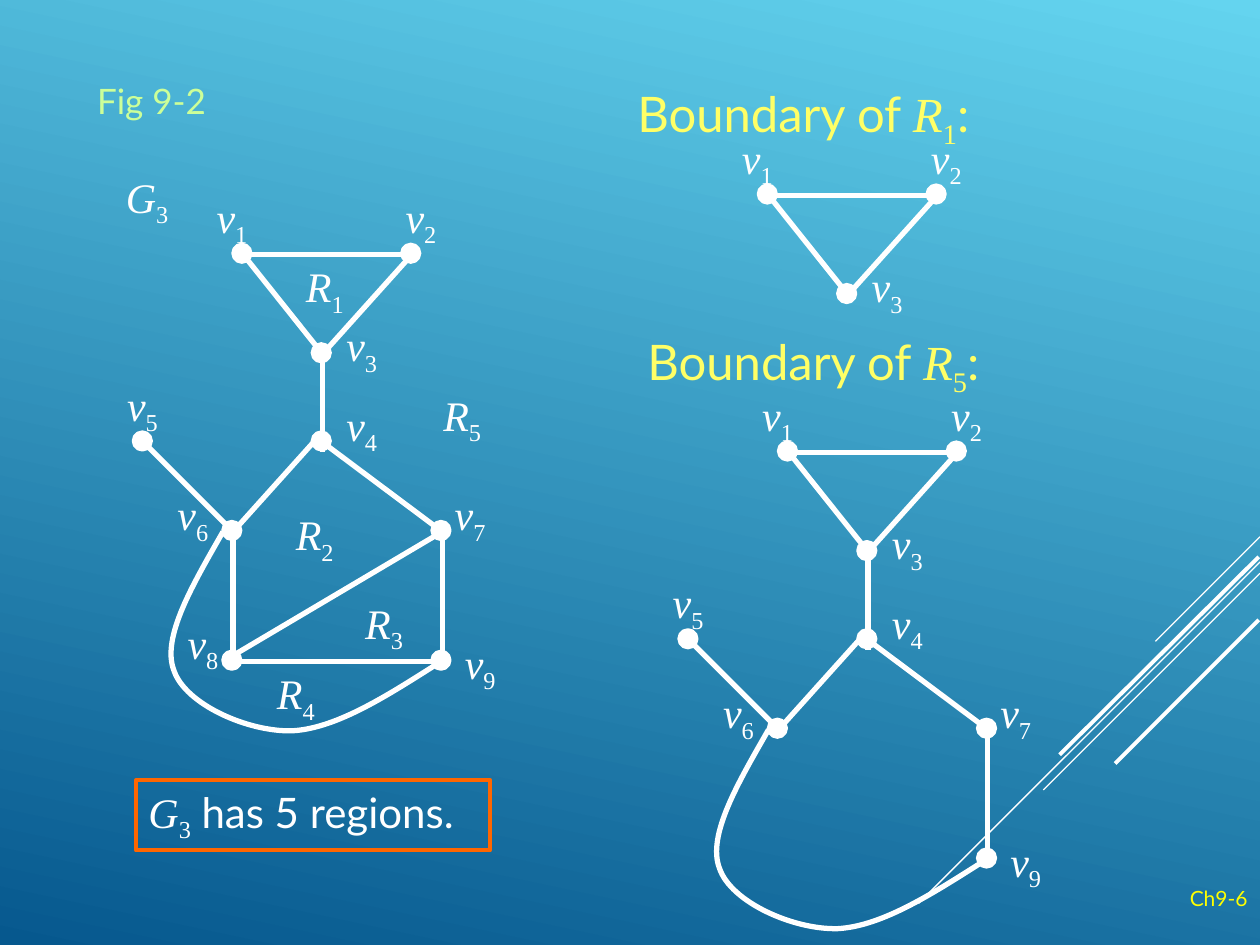
from dataclasses import dataclass

from lxml.etree import SubElement
from pptx import Presentation
from pptx.dml.color import RGBColor
from pptx.enum.shapes import MSO_CONNECTOR, MSO_SHAPE
from pptx.enum.text import MSO_ANCHOR, MSO_AUTO_SIZE, PP_ALIGN
from pptx.oxml.ns import qn
from pptx.util import Inches, Pt

WHITE = RGBColor(0xFF, 0xFF, 0xFF)
YELLOW = RGBColor(0xFF, 0xFF, 0x00)
PALE_YELLOW = RGBColor(0xFF, 0xFF, 0x66)
PALE_GREEN = RGBColor(0xCC, 0xFF, 0x99)
ORANGE = RGBColor(0xFF, 0x66, 0x00)
SKY = RGBColor(0x64, 0xD4, 0xEF)
NAVY = RGBColor(0x06, 0x58, 0x8E)
SANS = "Lato"
SERIF = "Times New Roman"
DOT_SIZE = 0.14
DOT_CENTRE = 0.08
UNITS_PER_INCH = 100

Point = tuple[float, float]


@dataclass(frozen=True)
class Piece:
    text: str
    font: str = SANS
    italic: bool = False
    subscript: bool = False


@dataclass(frozen=True)
class Vertex:
    dot: Point
    label: Point


@dataclass(frozen=True)
class Edge:
    start: int
    end: int
    start_shift: Point = (0, 0)
    end_shift: Point = (0, 0)


@dataclass(frozen=True)
class Graph:
    offset: Point
    vertices: tuple[int, ...]
    has_curve: bool


@dataclass(frozen=True)
class Caption:
    pieces: list[Piece]
    place: Point
    width: float
    size: int = 24
    color: RGBColor = WHITE


@dataclass(frozen=True)
class Stripe:
    start: Point
    end: Point
    width: float


def symbol(letter: str, index: str) -> list[Piece]:
    return [Piece(letter, SERIF, italic=True), Piece(index, SERIF, subscript=True)]


def boundary(index: str) -> list[Piece]:
    return [Piece("Boundary of "), *symbol("R", index), Piece(":")]


VERTICES = {
    1: Vertex((1.85, 1.94), (1.62, 1.47)),
    2: Vertex((3.19, 1.94), (3.12, 1.47)),
    3: Vertex((2.48, 2.73), (2.65, 2.49)),
    4: Vertex((2.48, 3.43), (2.65, 3.12)),
    5: Vertex((1.06, 3.43), (0.91, 2.96)),
    6: Vertex((1.77, 4.14), (1.31, 3.83)),
    7: Vertex((3.43, 4.14), (3.51, 3.83)),
    8: Vertex((1.77, 5.17), (1.39, 4.85)),
    9: Vertex((3.43, 5.17), (3.59, 5.01)),
}
EDGES = [
    Edge(1, 2), Edge(1, 3), Edge(2, 3),
    Edge(3, 4, (0, -0.08), (0, 0.08)),
    Edge(4, 6, (0, -0.08)),
    Edge(4, 7), Edge(5, 6), Edge(6, 8),
    Edge(7, 8, end_shift=(-0.08, 0)),
    Edge(7, 9), Edge(8, 9),
]
CURVE = [
    (1.77, 4.22),
    (1.53, 4.64), (1.28, 5.06), (1.38, 5.32),
    (1.47, 5.59), (1.97, 5.81), (2.32, 5.8),
    (2.68, 5.78), (3.09, 5.51), (3.5, 5.25),
]
GRAPHS = [
    Graph((0, 0), (1, 2, 3, 4, 5, 6, 7, 8, 9), True),
    Graph((4.17, -0.47), (1, 2, 3), False),
    Graph((4.33, 1.57), (1, 2, 3, 4, 5, 6, 7, 9), True),
]
CAPTIONS = [
    Caption(symbol("G", "3"), (0.9, 1.31), 0.54),
    Caption(symbol("R", "1"), (2.33, 2.02), 0.5),
    Caption(symbol("R", "2"), (2.25, 3.99), 0.5),
    Caption(symbol("R", "3"), (2.8, 4.69), 0.5),
    Caption(symbol("R", "4"), (2.1, 5.25), 0.5),
    Caption(symbol("R", "5"), (3.42, 3.04), 0.5),
    Caption(boundary("1"), (4.96, 0.61), 3, 28, PALE_YELLOW),
    Caption(boundary("5"), (5.04, 2.58), 3, 28, PALE_YELLOW),
]
STRIPES = [
    Stripe((10, 4.26), (9.17, 5.09), 0.75),
    Stripe((10, 4.46), (7.29, 7.17), 0.75),
    Stripe((10, 4.55), (8.28, 6.27), 0.75),
    Stripe((9.99, 4.42), (8.41, 5.99), 2.25),
    Stripe((9.99, 4.92), (8.85, 6.06), 2.25),
]


def shifted(point: Point, *shifts: Point) -> Point:
    return (point[0] + sum(shift[0] for shift in shifts),
            point[1] + sum(shift[1] for shift in shifts))


def write(para, pieces: list[Piece], size: int, color: RGBColor) -> None:
    for piece in pieces:
        span = para.add_run()
        span.text = piece.text
        span.font.name = piece.font
        span.font.size = Pt(size)
        span.font.italic = piece.italic
        span.font.color.rgb = color
        if piece.subscript:
            span.font._element.set("baseline", "-25000")


def draw_line(shapes, start: Point, end: Point, width: float) -> None:
    line = shapes.add_connector(MSO_CONNECTOR.STRAIGHT, *map(Inches, (*start, *end)))
    line.line.color.rgb = WHITE
    line.line.width = Pt(width)
    SubElement(line._element.spPr, qn("a:effectLst"))


def draw_caption(shapes, caption: Caption) -> None:
    height = 0.63 if caption.size > 24 else 0.56
    box = shapes.add_textbox(*map(Inches, (*caption.place, caption.width, height)))
    box.text_frame.word_wrap = False
    box.text_frame.auto_size = MSO_AUTO_SIZE.SHAPE_TO_FIT_TEXT
    write(box.text_frame.paragraphs[0], caption.pieces, caption.size, caption.color)


def draw_dot(shapes, place: Point) -> None:
    dot = shapes.add_shape(MSO_SHAPE.OVAL, *map(Inches, (*place, DOT_SIZE, DOT_SIZE)))
    dot.shadow.inherit = False
    dot.fill.solid()
    dot.fill.fore_color.rgb = WHITE
    dot.line.color.rgb = WHITE
    dot.line.width = Pt(2)


def draw_curve(shapes, points: list[Point]) -> None:
    scaled = [(x * UNITS_PER_INCH, y * UNITS_PER_INCH) for x, y in points]
    builder = shapes.build_freeform(*scaled[0], scale=Inches(1) / UNITS_PER_INCH)
    builder.add_line_segments(scaled[1:], close=False)
    curve = builder.convert_to_shape()
    curve.shadow.inherit = False
    curve.fill.background()
    curve.line.color.rgb = WHITE
    curve.line.width = Pt(3)
    outline = next(curve._element.iter(qn("a:path")))
    segments = outline.findall(qn("a:lnTo"))
    for first in range(0, len(segments), 3):
        bend = SubElement(outline, qn("a:cubicBezTo"))
        for segment in segments[first:first + 3]:
            bend.append(segment[0])
            outline.remove(segment)


def draw_graph(slide, graph: Graph) -> None:
    shapes = slide.shapes.add_group_shape().shapes
    centre = (DOT_CENTRE, DOT_CENTRE)
    for edge in EDGES:
        if edge.start in graph.vertices and edge.end in graph.vertices:
            start = shifted(VERTICES[edge.start].dot, centre, graph.offset, edge.start_shift)
            end = shifted(VERTICES[edge.end].dot, centre, graph.offset, edge.end_shift)
            draw_line(shapes, start, end, 3)
    if graph.has_curve:
        draw_curve(shapes, [shifted(point, graph.offset) for point in CURVE])
    for number in graph.vertices:
        vertex = VERTICES[number]
        draw_dot(shapes, shifted(vertex.dot, graph.offset))
        place = shifted(vertex.label, graph.offset)
        draw_caption(shapes, Caption(symbol("v", str(number)), place, 0.48))


def draw_background(slide) -> None:
    fill = slide.background.fill
    fill.gradient()
    fill.gradient_angle = 258
    for stop, color in zip(fill.gradient_stops, (SKY, NAVY)):
        stop.color.rgb = color
    for stripe in STRIPES:
        draw_line(slide.shapes, stripe.start, stripe.end, stripe.width)


def draw_title(slide) -> None:
    title = slide.shapes.title
    title.left, title.top, title.width, title.height = map(Inches, (0.67, 0.44, 1.73, 0.71))
    title.text_frame.auto_size = MSO_AUTO_SIZE.NONE
    title.text_frame.vertical_anchor = MSO_ANCHOR.MIDDLE
    para = title.text_frame.paragraphs[0]
    para.alignment = PP_ALIGN.LEFT
    write(para, [Piece("Fig 9-2")], 20, PALE_GREEN)


def draw_conclusion(slide) -> None:
    box = slide.shapes.add_shape(MSO_SHAPE.RECTANGLE, *map(Inches, (1.08, 6.19, 2.81, 0.56)))
    box.shadow.inherit = False
    box.fill.background()
    box.line.color.rgb = ORANGE
    box.line.width = Pt(2.25)
    box.text_frame.word_wrap = False
    box.text_frame.auto_size = MSO_AUTO_SIZE.SHAPE_TO_FIT_TEXT
    box.text_frame.vertical_anchor = MSO_ANCHOR.TOP
    para = box.text_frame.paragraphs[0]
    para.alignment = PP_ALIGN.LEFT
    pieces = [*symbol("G", "3"), Piece(" ", SERIF), Piece("has 5 regions.")]
    write(para, pieces, 24, WHITE)


def draw_page_number(slide) -> None:
    box = slide.shapes.add_textbox(*map(Inches, (7.92, 6.98, 2.08, 0.28)))
    box.text_frame.word_wrap = True
    para = box.text_frame.paragraphs[0]
    para.alignment = PP_ALIGN.RIGHT
    write(para, [Piece("Ch9-6")], 12, YELLOW)


def main() -> None:
    deck = Presentation()
    deck.slide_width, deck.slide_height = Inches(10), Inches(7.5)
    page = deck.slides.add_slide(deck.slide_layouts[5])
    draw_background(page)
    draw_title(page)
    for graph in GRAPHS:
        draw_graph(page, graph)
    for caption in CAPTIONS:
        draw_caption(page.shapes, caption)
    draw_conclusion(page)
    draw_page_number(page)
    deck.save("out.pptx")


if __name__ == "__main__":
    main()
